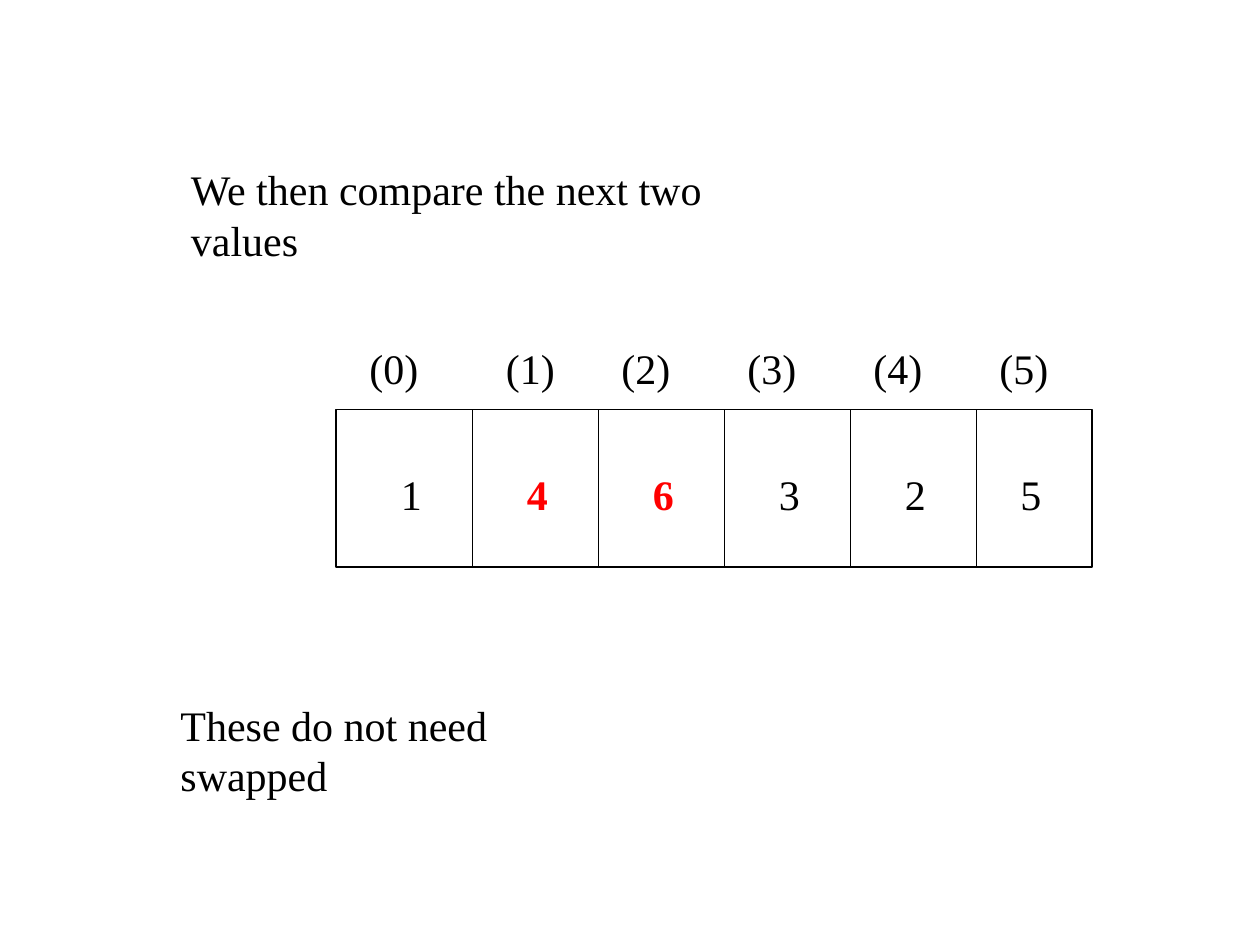
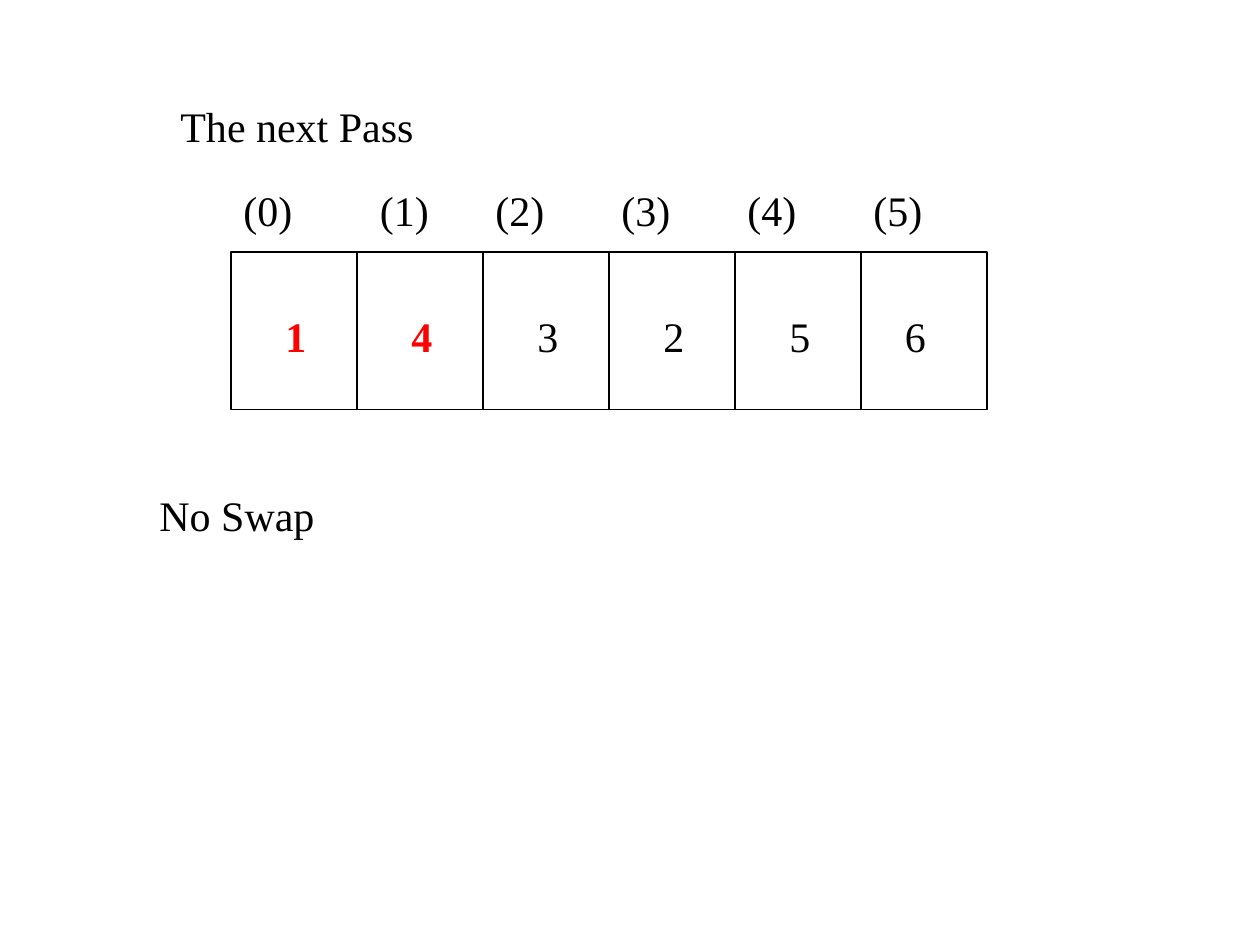
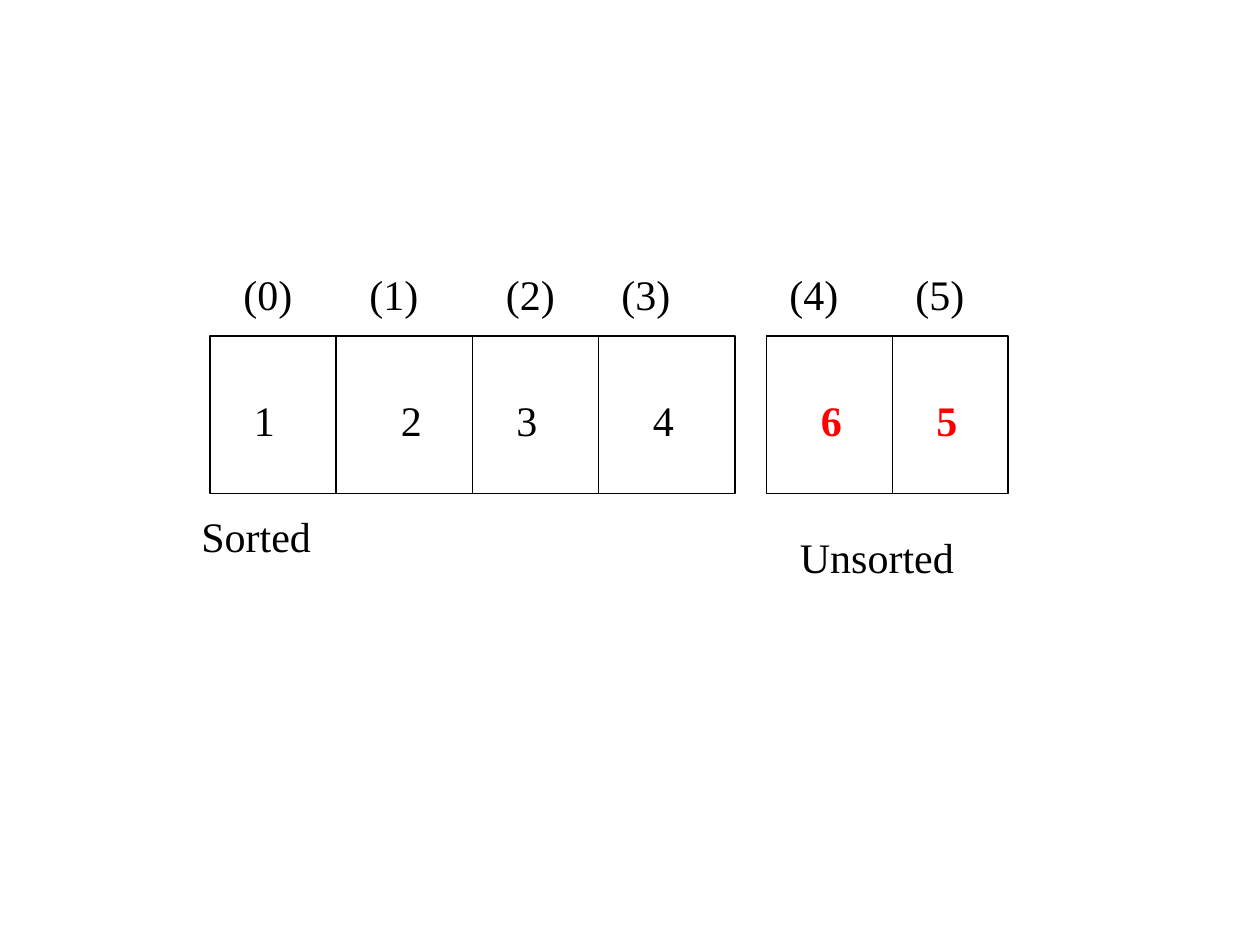
from dataclasses import dataclass

from pptx import Presentation
from pptx.dml.color import RGBColor
from pptx.enum.shapes import MSO_CONNECTOR as Connector, MSO_SHAPE as Preset
from pptx.enum.text import MSO_AUTO_SIZE as AutoSize
from pptx.oxml import parse_xml
from pptx.oxml.ns import nsdecls
from pptx.slide import Slide
from pptx.util import Emu, Pt

EMU_PER_PX = 9525
SLIDE_SIZE = (960, 720)
BLANK_LAYOUT = 6

BLACK = "000000"
RED = "FF0000"
FONT = {"name": "Times New Roman", "size": Pt(24)}
LINE_WIDTH = Pt(0.75)

ARRAY_HEIGHT = 120
INDEX_RISE = 56
VALUE_DROP = 40
LABEL_HEIGHT = 48
INDEX_WIDTHS = (80, 64, 64, 80, 88, 64)
VALUE_WIDTHS = (40, 48, 48, 40, 40, 56)


@dataclass(frozen=True)
class Caption:
    text: str
    left: int
    top: int
    width: int
    height: int = LABEL_HEIGHT


@dataclass(frozen=True)
class ArrayBox:
    left: int
    top: int
    width: int
    dividers: tuple[int, ...]
    values: str
    index_lefts: tuple[int, ...]
    value_lefts: tuple[int, ...]
    compared: str = ""
    first_index: int = 0


@dataclass(frozen=True)
class Step:
    arrays: tuple[ArrayBox, ...]
    captions: tuple[Caption, ...]


STEPS = (
    Step(
        arrays=(
            ArrayBox(256, 312, 576, (360, 456, 552, 648, 744), "146325",
                     (272, 376, 464, 560, 656, 752),
                     (296, 392, 488, 584, 680, 768), compared="46"),
        ),
        captions=(
            Caption("We then compare the next two values", 136, 120, 456, 86),
            Caption("These do not need swapped", 128, 528, 312, 86),
        ),
    ),
    Step(
        arrays=(
            ArrayBox(176, 192, 576, tuple(range(272, 752, 96)), "143256",
                     (176, 280, 368, 464, 560, 656),
                     (208, 304, 400, 496, 592, 680), compared="14"),
        ),
        captions=(
            Caption("The next Pass", 128, 72, 328),
            Caption("No Swap", 112, 368, 144),
        ),
    ),
    Step(
        arrays=(
            ArrayBox(160, 256, 400, (256, 360, 456), "1234",
                     (176, 272, 376, 464), (184, 296, 384, 488)),
            ArrayBox(584, 256, 184, (584, 680), "65",
                     (592, 688), (616, 704), compared="65", first_index=4),
        ),
        captions=(
            Caption("Sorted", 144, 384, 112),
            Caption("Unsorted", 600, 400, 152),
        ),
    ),
)


def px(*lengths: int) -> list[Emu]:
    return [Emu(length * EMU_PER_PX) for length in lengths]


def color(hex_value: str) -> RGBColor:
    return RGBColor.from_string(hex_value)


def style_line(shape) -> None:
    shape.line.color.rgb = color(BLACK)
    shape.line.width = LINE_WIDTH


def draw_caption(slide: Slide, caption: Caption, highlighted: bool = False) -> None:
    box = slide.shapes.add_textbox(
        *px(caption.left, caption.top, caption.width, caption.height))
    frame = box.text_frame
    frame.word_wrap = True
    frame.auto_size = AutoSize.SHAPE_TO_FIT_TEXT
    run = frame.paragraphs[0].add_run()
    run.text = caption.text
    for name, value in (FONT | {"bold": highlighted}).items():
        setattr(run.font, name, value)
    run.font.color.rgb = color(RED if highlighted else BLACK)


def draw_array(slide: Slide, array: ArrayBox) -> None:
    frame = slide.shapes.add_shape(
        Preset.RECTANGLE, *px(array.left, array.top, array.width, ARRAY_HEIGHT))
    frame.shadow.inherit = False
    frame.fill.background()
    style_line(frame)

    for x in array.dividers:
        divider = slide.shapes.add_connector(
            Connector.STRAIGHT, *px(x, array.top, x, array.top + ARRAY_HEIGHT))
        style_line(divider)
        divider._element.spPr.append(parse_xml(f"<a:effectLst {nsdecls('a')}/>"))
        if x == array.left + array.width // 2:
            divider.begin_connect(frame, 0)
            divider.end_connect(frame, 2)

    cells = zip(array.values, array.index_lefts, array.value_lefts)
    for index, (value, index_left, value_left) in enumerate(cells, array.first_index):
        draw_caption(slide, Caption(f"({index})", index_left, array.top - INDEX_RISE,
                                    INDEX_WIDTHS[index]))
        draw_caption(slide, Caption(value, value_left, array.top + VALUE_DROP,
                                    VALUE_WIDTHS[index]), value in array.compared)


def main() -> None:
    presentation = Presentation()
    presentation.slide_width, presentation.slide_height = px(*SLIDE_SIZE)
    for step in STEPS:
        slide = presentation.slides.add_slide(presentation.slide_layouts[BLANK_LAYOUT])
        for array in step.arrays:
            draw_array(slide, array)
        for caption in step.captions:
            draw_caption(slide, caption)
    presentation.save("out.pptx")


if __name__ == "__main__":
    main()
